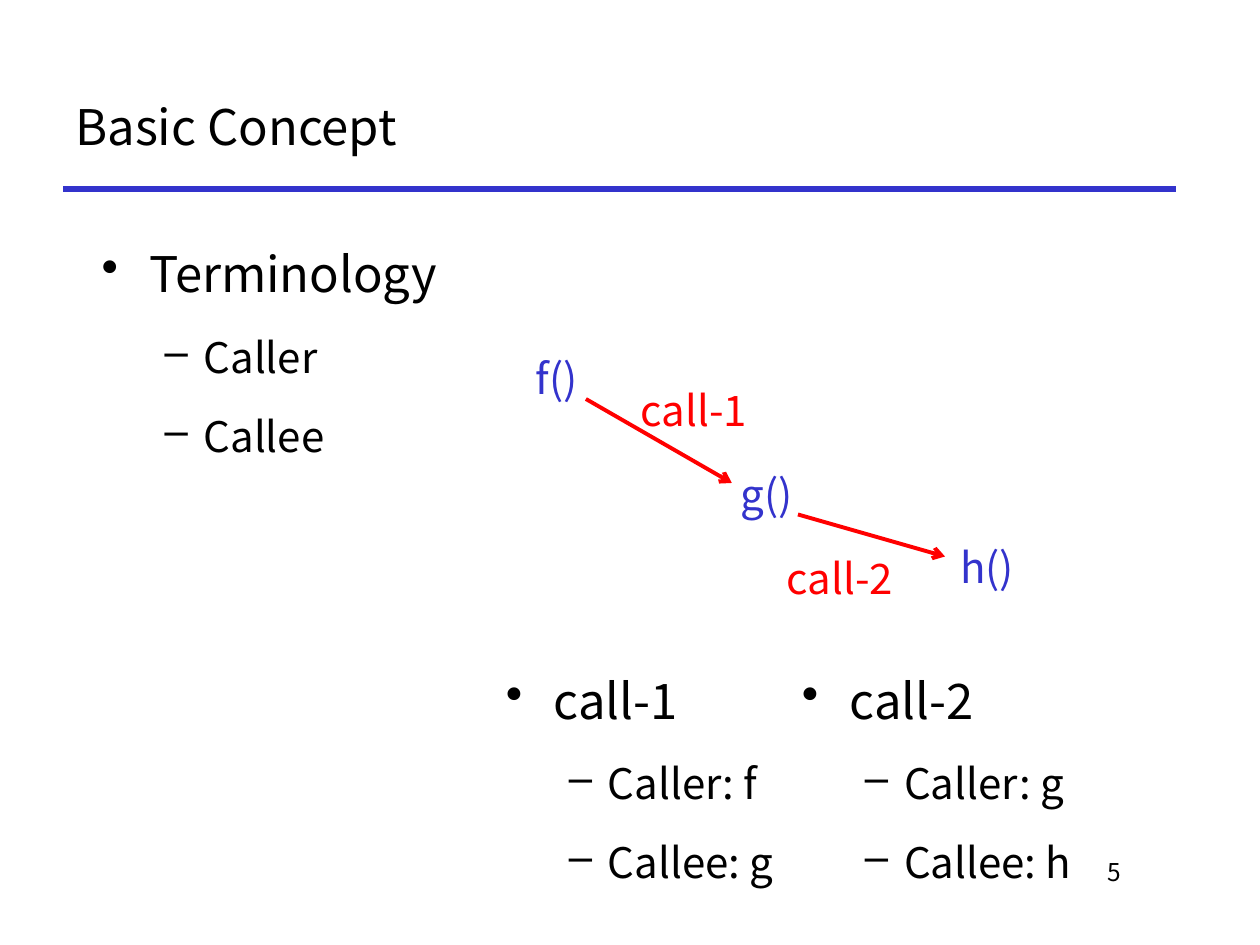
from dataclasses import dataclass

from lxml.etree import SubElement
from pptx import Presentation
from pptx.dml.color import RGBColor as Color
from pptx.enum.shapes import MSO_CONNECTOR as Connector
from pptx.enum.text import MSO_ANCHOR as Anchor, PP_ALIGN as Align
from pptx.oxml.ns import qn
from pptx.util import Inches, Pt


@dataclass(frozen=True)
class Theme:
    font: str = "Noto Sans CJK KR"
    ink: str = "000000"
    blue: str = "3333CC"
    red: str = "FF0000"
    heading: int = 28
    body: int = 24
    number: int = 14
    rule_width: float = 3
    arrow_width: float = 2.25


THEME = Theme()

# Places are in grid units: the slide is 120 columns by 90 rows.
COLUMNS, ROWS = 120, 90
TITLE = ("Basic Concept", (6, 6, 106, 12))
PAGE_NUMBER = ("5", (91, 81, 17, 6))
RULE = ((6, 18), (112, 18))

# Each list: (heading, items, place)
LISTS = [
    ("Terminology", ["Caller", "Callee"], (8.5, 20.4, 107, 61)),
    ("call-1", ["Caller: f", "Callee: g"], (47, 61, 32.8, 24)),
    ("call-2", ["Caller: g", "Callee: h"], (75.2, 61, 32.8, 24)),
]
FUNCTIONS = [("f()", (49, 33, 8, 6)), ("g()", (69, 44, 8, 6)), ("h()", (90, 51, 8, 6))]
CALLS = [("call-1", (57, 36, 18.2, 6)), ("call-2", (71, 52, 18, 6))]
CALL_ARROWS = [((55.8, 38), (69.7, 46)), ((76, 49), (90, 53))]

# Each level: (bullet, left margin, hanging indent, type size)
LEVELS = [("•", 0.38, 0.38, THEME.heading), ("–", 0.81, 0.31, THEME.body)]

deck = Presentation()
deck.slide_width, deck.slide_height = Inches(10), Inches(7.5)
page = deck.slides.add_slide(deck.slide_layouts[6])


def across(units):
    return round(deck.slide_width * units / COLUMNS)


def down(units):
    return round(deck.slide_height * units / ROWS)


def style(para, size, color):
    for span in para.runs:
        span.font.name = THEME.font
        span.font.size = Pt(size)
        span.font.color.rgb = Color.from_string(color)


def add_text(text, place, size, color=THEME.ink, align=Align.LEFT, anchor=Anchor.TOP):
    left, top, width, height = place
    box = page.shapes.add_textbox(across(left), down(top), across(width), down(height))
    frame = box.text_frame
    frame.word_wrap = True
    frame.vertical_anchor = anchor
    frame.text = text
    for para in frame.paragraphs:
        para.alignment = align
        style(para, size, color)
    return frame


def add_list(heading, items, place):
    frame = add_text("\n".join([heading, *items]), place, THEME.body)
    for index, para in enumerate(frame.paragraphs):
        level = min(index, 1)
        bullet, margin, hang, size = LEVELS[level]
        para.level = level
        para.line_spacing = 1.4
        if index:
            para.space_before = Pt(size * 0.2)
        properties = para._p.get_or_add_pPr()
        properties.set("marL", str(Inches(margin)))
        properties.set("indent", str(-Inches(hang)))
        SubElement(properties, qn("a:buChar"), char=bullet)
        style(para, size, THEME.ink)


def add_line(start, end, color, width, arrow=False):
    line = page.shapes.add_connector(
        Connector.STRAIGHT, across(start[0]), down(start[1]), across(end[0]), down(end[1])
    )
    line.line.color.rgb = Color.from_string(color)
    line.line.width = Pt(width)
    if arrow:
        SubElement(line.line._get_or_add_ln(), qn("a:tailEnd"), type="arrow")
    SubElement(line._element.spPr, qn("a:effectLst"))


add_line(*RULE, THEME.blue, THEME.rule_width)
add_text(*PAGE_NUMBER, THEME.number, align=Align.RIGHT)
add_text(*TITLE, THEME.heading, anchor=Anchor.MIDDLE)
for entry in LISTS:
    add_list(*entry)
for labels, color in ((FUNCTIONS, THEME.blue), (CALLS, THEME.red)):
    for label, place in labels:
        add_text(label, place, THEME.body, color, Align.CENTER)
for start, end in CALL_ARROWS:
    add_line(start, end, THEME.red, THEME.arrow_width, arrow=True)

deck.save("out.pptx")
